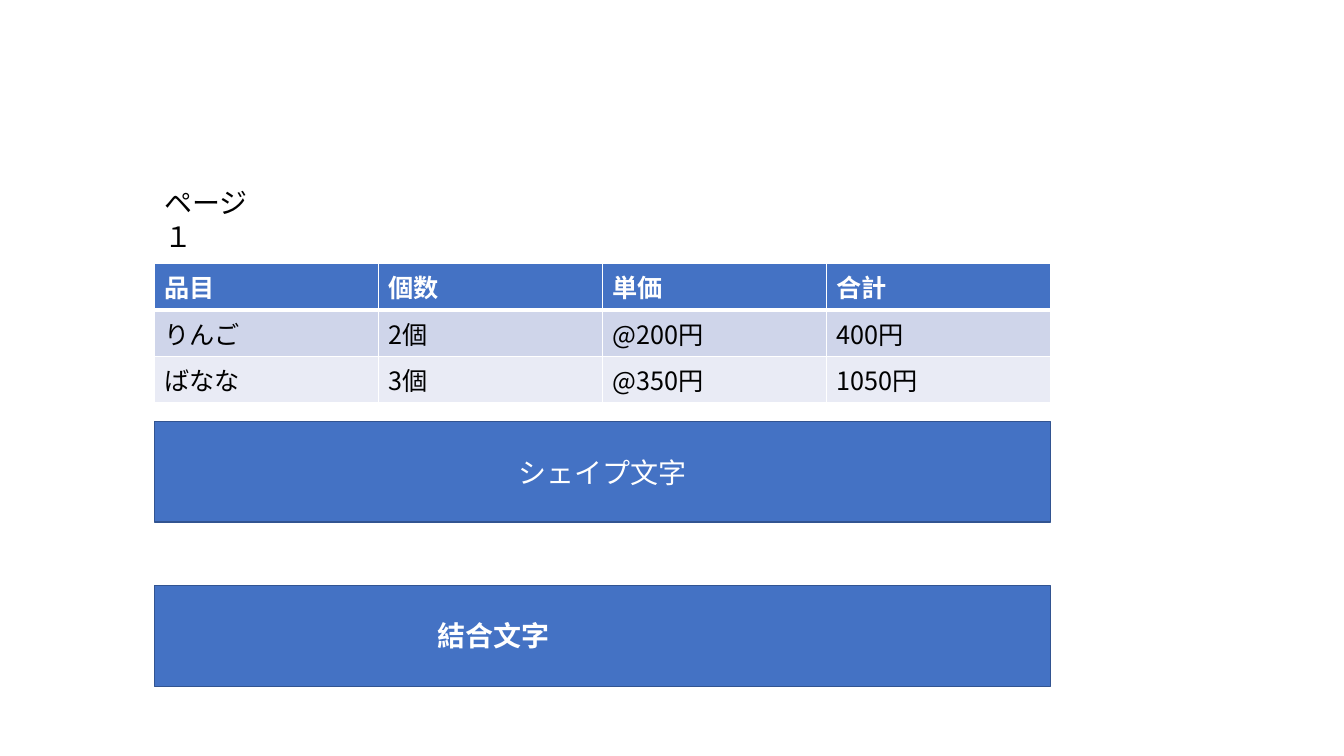
from lxml import etree
from pptx import Presentation
from pptx import util as u
from pptx.dml.color import RGBColor
from pptx.enum import shapes, text
from pptx.oxml import ns

FONT = "Noto Sans CJK JP"
COLORS = {
    "blue": "4472C4",
    "outline": "325491",
    "band": "CFD5EA",
    "pale": "E9EBF5",
    "white": "FFFFFF",
    "black": "000000",
}
LEFT, WIDTH = 110.2, 640
BAR_HEIGHT = 72
LABEL_HEIGHT = 31.5
ROW_HEIGHT = 29.2

ORDER_ROWS = [
    ["品目", "個数", "単価", "合計"],
    ["りんご", "2個", "@200円", "400円"],
    ["ばなな", "3個", "@350円", "1050円"],
]


def color(name):
    return RGBColor.from_string(COLORS[name])


class SlideBuilder:
    """Holds the text style and the slide being built."""

    def __init__(self, page, font):
        self.page = page
        self.font = font

    def add_words(self, frame, words, ink, size=20, bold=False, align=None):
        para = frame.paragraphs[0]
        para.alignment = align
        span = para.add_run()
        span.text = words
        for name, value in {"name": self.font, "size": u.Pt(size), "bold": bold}.items():
            setattr(span.font, name, value)
        span.font.color.rgb = color(ink)
        # East Asian characters take their own typeface
        east = etree.SubElement(span._r.get_or_add_rPr(), ns.qn("a:ea"))
        east.set("typeface", self.font)

    def bar(self, top, words=None, parent=None):
        box = (parent or self.page).shapes.add_shape(
            shapes.MSO_SHAPE.RECTANGLE,
            u.Pt(LEFT), u.Pt(top), u.Pt(WIDTH), u.Pt(BAR_HEIGHT))
        box.shadow.inherit = False
        box.fill.solid()
        box.fill.fore_color.rgb = color("blue")
        box.line.color.rgb = color("outline")
        box.line.width = u.Pt(1)
        if words:
            box.text_frame.vertical_anchor = text.MSO_ANCHOR.MIDDLE
            self.add_words(box.text_frame, words, "white", align=text.PP_ALIGN.CENTER)

    def label(self, left, top, width, words, ink, bold=False, wrap=False, parent=None):
        box = (parent or self.page).shapes.add_textbox(
            u.Pt(left), u.Pt(top), u.Pt(width), u.Pt(LABEL_HEIGHT))
        frame_format = {"word_wrap": wrap, "auto_size": text.MSO_AUTO_SIZE.SHAPE_TO_FIT_TEXT}
        for name, value in frame_format.items():
            setattr(box.text_frame, name, value)
        self.add_words(box.text_frame, words, ink, bold=bold)

    def borders(self, cell, widths):
        props = cell._tc.get_or_add_tcPr()
        for side, width in widths.items():
            line = etree.SubElement(props, ns.qn(f"a:ln{side}"), w=str(u.Pt(width)))
            fill = etree.SubElement(line, ns.qn("a:solidFill"))
            etree.SubElement(fill, ns.qn("a:srgbClr"), val=COLORS["white"])

    def table(self, top, rows):
        grid = self.page.shapes.add_table(
            len(rows), len(rows[0]), u.Pt(LEFT), u.Pt(top),
            u.Pt(WIDTH), u.Pt(ROW_HEIGHT * len(rows))).table
        for r, row in enumerate(rows):
            header = r == 0
            fill = "blue" if header else ("band" if r % 2 else "pale")
            widths = {"L": 1, "R": 1, "T": 3 if r == 1 else 1, "B": 3 if header else 1}
            for c, words in enumerate(row):
                cell = grid.cell(r, c)
                self.borders(cell, widths)
                cell.fill.solid()
                cell.fill.fore_color.rgb = color(fill)
                self.add_words(cell.text_frame, words, "white" if header else "black",
                               size=18, bold=header)


def main():
    deck = Presentation()
    deck.slide_width, deck.slide_height = u.Pt(960), u.Pt(540)
    page = deck.slides.add_slide(deck.slide_layouts[6])
    builder = SlideBuilder(page, FONT)

    # Order table and page label
    builder.table(188, ORDER_ROWS)
    builder.label(LEFT, 129, 84.4, "ページ１", "black", wrap=True)

    # Bar with its own text
    builder.bar(301, "シェイプ文字")

    # Bar grouped with a separate label
    group = page.shapes.add_group_shape()
    builder.bar(418.3, parent=group)
    builder.label(305.3, 438.5, 96, "結合文字", "white", bold=True, parent=group)

    deck.save("out.pptx")


if __name__ == "__main__":
    main()
